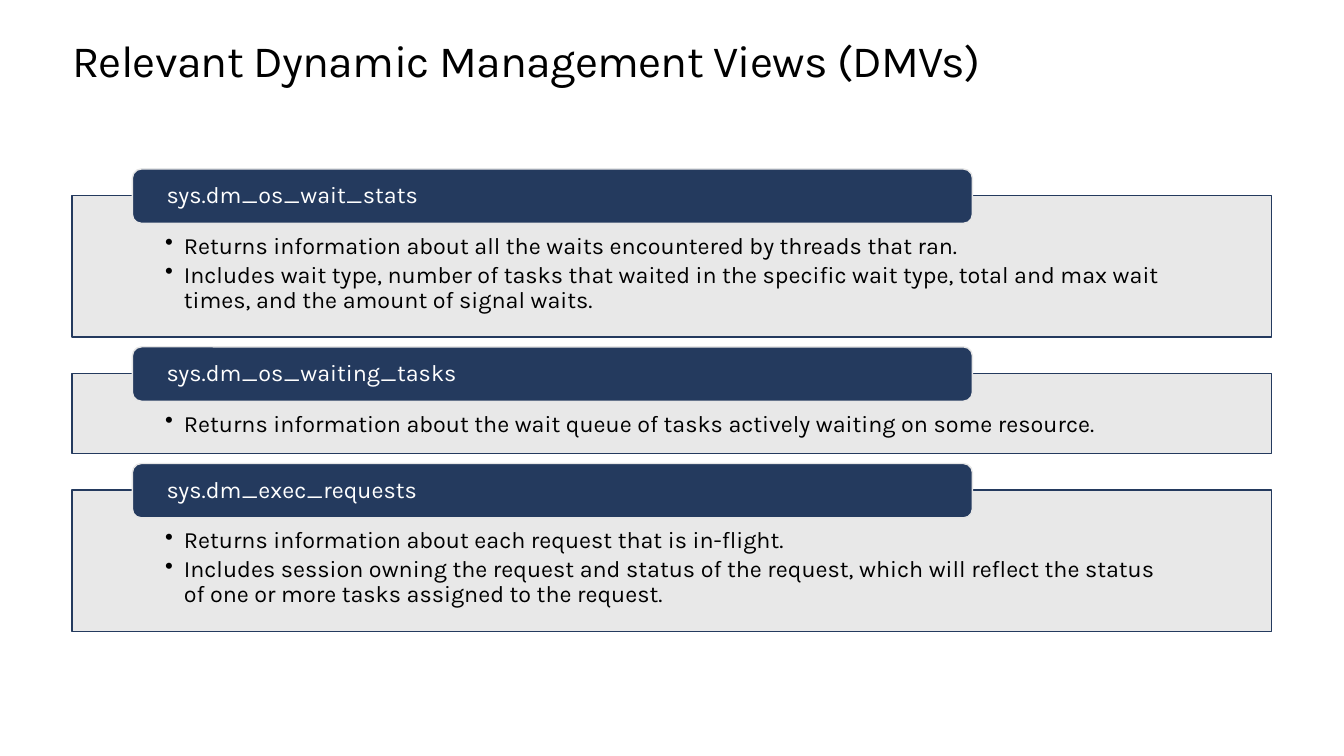
from lxml import etree
from pptx import Presentation
from pptx.dml.color import RGBColor
from pptx.enum.shapes import MSO_SHAPE
from pptx.enum.text import MSO_ANCHOR, PP_ALIGN
from pptx.oxml.ns import qn
from pptx.util import Inches, Pt

RECTANGLE = MSO_SHAPE.RECTANGLE
ROUNDED = MSO_SHAPE.ROUNDED_RECTANGLE
TOP, MIDDLE = MSO_ANCHOR.TOP, MSO_ANCHOR.MIDDLE
LEFT = PP_ALIGN.LEFT

FONT = "Karla"
COLORS = {"navy": "243A5E", "gray": "E6E6E6", "black": "000000", "white": "FFFFFF"}
PANEL_LEFT, PANEL_WIDTH, PANEL_GAP = 0.73, 12.14, 0.37
TAB_LEFT, TAB_WIDTH, TAB_HEIGHT, TAB_RISE = 1.34, 8.5, 0.55, 0.27

VIEWS = [
    ("sys.dm_os_wait_stats", 1.43, [
        "Returns information about all the waits encountered by threads that ran.",
        "Includes wait type, number of tasks that waited in the specific wait type, "
        "total and max wait times, and the amount of signal waits.",
    ]),
    ("sys.dm_os_waiting_tasks", 0.81, [
        "Returns information about the wait queue of tasks actively waiting on some resource.",
    ]),
    ("sys.dm_exec_requests", 1.43, [
        "Returns information about each request that is in-flight.",
        "Includes session owning the request and status of the request, which will "
        "reflect the status of one or more tasks assigned to the request.",
    ]),
]


def add_block(kind, place, fill, line, margins, anchor):
    """Add a filled, outlined shape ready to hold left-aligned text."""
    block = page.shapes.add_shape(kind, *[Inches(value) for value in place])
    block.shadow.inherit = False
    block.fill.solid()
    block.fill.fore_color.rgb = RGBColor.from_string(COLORS[fill])
    block.line.color.rgb = RGBColor.from_string(COLORS[line])
    block.line.width = Pt(1)
    frame = block.text_frame
    frame.word_wrap = True
    frame.vertical_anchor = anchor
    (frame.margin_left, frame.margin_top,
     frame.margin_right, frame.margin_bottom) = [Inches(value) for value in margins]
    return block


def write(para, text, size, color, spacing):
    para.text = text
    para.alignment = LEFT
    para.line_spacing = spacing
    para.font.name = FONT
    para.font.size = Pt(size)
    para.font.color.rgb = RGBColor.from_string(COLORS[color])


deck = Presentation()
deck.slide_width, deck.slide_height = Inches(13.6), Inches(7.65)
page = deck.slides.add_slide(deck.slide_layouts[6])

title = page.shapes.add_textbox(
    Inches(PANEL_LEFT), Inches(0.36), Inches(PANEL_WIDTH), Inches(0.51))
frame = title.text_frame
frame.word_wrap = True
frame.margin_left = frame.margin_top = frame.margin_right = frame.margin_bottom = 0
heading = frame.paragraphs[0]
write(heading, "Relevant Dynamic Management Views (DMVs)", 32.6, "black", Pt(36.9))
heading.runs[0].font._element.set("spc", "-50")

top = 1.98
for name, height, points in VIEWS:
    panel = add_block(RECTANGLE, (PANEL_LEFT, top, PANEL_WIDTH, height),
                      "gray", "navy", (0.94, 0.39, 0.94, 0.13), TOP)
    panel_color = panel._element.spPr.find(qn("a:solidFill"))[0]
    etree.SubElement(panel_color, qn("a:alpha"), val="90000")
    for index, point in enumerate(points):
        frame = panel.text_frame
        para = frame.add_paragraph() if index else frame.paragraphs[0]
        properties = para._p.get_or_add_pPr()
        properties.set("marL", str(Inches(0.19)))
        properties.set("indent", str(-Inches(0.19)))
        etree.SubElement(properties, qn("a:buChar"), char="•")
        write(para, point, 17, "black", 0.9)
        para.space_after = Pt(2.6)

    tab = add_block(ROUNDED, (TAB_LEFT, top - TAB_RISE, TAB_WIDTH, TAB_HEIGHT),
                    "navy", "gray", (0.32, 0, 0.32, 0), MIDDLE)
    write(tab.text_frame.paragraphs[0], name, 17, "white", 0.9)
    top += height + PANEL_GAP

deck.save("out.pptx")
